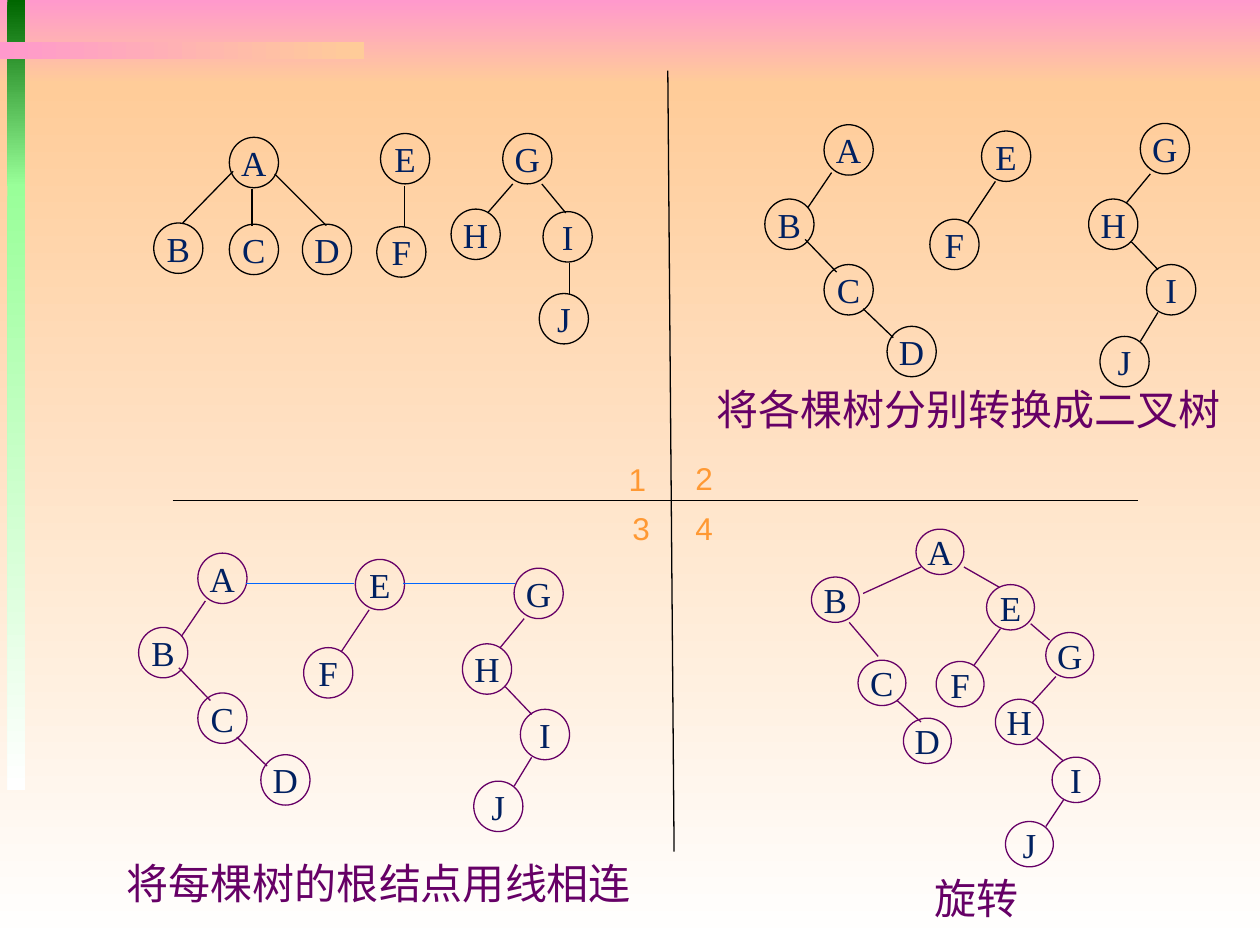
from typing import NamedTuple

from pptx import Presentation
from pptx import util as u
from pptx.dml.color import RGBColor
from pptx.enum import shapes, text
from pptx.oxml.ns import qn


class Theme:
    ink, plum, blue, navy, gold = "000000", "660066", "0066FF", "002060", "FF9933"
    pink, peach, white = "FF99CC", "FFCC99", "FFFFFF"
    dark, mint = "006600", "99FF99"
    serif, sans = "Times New Roman", "Arial"
    node, note, digit = 20, 24, 18
    line = 0.75


class Band(NamedTuple):
    box: tuple
    start: str
    end: str
    angle: int


class Tree(NamedTuple):
    nodes: dict  # letter -> left, top
    edges: list  # x1, y1, x2, y2


class Label(NamedTuple):
    words: str
    box: tuple
    indent: float = 0


def shift(tree: Tree, dx: float, dy: float) -> Tree:
    return Tree({k: (x + dx, y + dy) for k, (x, y) in tree.nodes.items()},
                [(a + dx, b + dy, c + dx, d + dy) for a, b, c, d in tree.edges])


def rgb(code: str) -> RGBColor:
    return RGBColor.from_string(code)


def inch(vals: tuple) -> list:
    return [u.Inches(v) for v in vals]


def style(par, font: str, size: int, color: str) -> None:
    for run in par.runs:
        run.font.name = font
        run.font.size = u.Pt(size)
        run.font.color.rgb = rgb(color)


def draw_band(home, band: Band) -> None:
    bar = home.add_shape(shapes.MSO_SHAPE.RECTANGLE, *inch(band.box))
    bar.shadow.inherit = False
    bar.line.fill.background()
    bar.fill.gradient()
    bar.fill.gradient_angle = band.angle
    for stop, color, pos in zip(bar.fill.gradient_stops, (band.start, band.end), (0, 1)):
        stop.color.rgb = rgb(color)
        stop.position = pos


def draw_line(home, ends: tuple, color: str) -> None:
    link = home.add_connector(shapes.MSO_CONNECTOR.STRAIGHT, *inch(ends))
    link.line.color.rgb = rgb(color)
    link.line.width = u.Pt(Theme.line)
    props = link._element.spPr
    props.append(props.makeelement(qn("a:effectLst"), {}))


def draw_node(home, name: str, box: tuple, color: str) -> None:
    oval = home.add_shape(shapes.MSO_SHAPE.OVAL, *inch(box))
    oval.shadow.inherit = False
    oval.fill.background()
    oval.line.color.rgb = rgb(color)
    oval.line.width = u.Pt(Theme.line)
    frame = oval.text_frame
    frame.text = name
    frame.word_wrap = False
    frame.vertical_anchor = text.MSO_ANCHOR.MIDDLE
    frame.margin_left = frame.margin_right = frame.margin_top = frame.margin_bottom = 0
    frame.paragraphs[0].alignment = text.PP_ALIGN.CENTER
    style(frame.paragraphs[0], Theme.serif, Theme.node, Theme.navy)


def draw_forest(home, trees: list, color: str, size: tuple, joins: tuple = ()) -> None:
    group = home.add_group_shape().shapes
    for tree in trees:
        for name, spot in tree.nodes.items():
            draw_node(group, name, (*spot, *size), color)
        for edge in tree.edges:
            draw_line(group, edge, color)
    for join in joins:
        draw_line(group, join, Theme.blue)


def draw_label(home, label: Label, size: int, color: str, space: float) -> None:
    box = home.add_textbox(*inch(label.box))
    frame = box.text_frame
    frame.text = label.words
    frame.word_wrap = True
    frame.auto_size = text.MSO_AUTO_SIZE.SHAPE_TO_FIT_TEXT
    par = frame.paragraphs[0]
    par.line_spacing = space
    if label.indent:
        props = par._p.get_or_add_pPr()
        props.set("marL", str(u.Inches(label.indent)))
        props.set("indent", "0")
    style(par, Theme.sans, size, color)


# Backdrop and corner stripes
BANDS = [
    Band((0, 0, 10, 0.67), Theme.pink, Theme.peach, 270),
    Band((0, 0.67, 10, 6.83), Theme.peach, Theme.white, 270),
    Band((0.06, 0, 0.14, 1.48), Theme.dark, Theme.mint, 270),
    Band((0.06, 1.46, 0.14, 4.81), Theme.mint, Theme.white, 270),
    Band((0, 0.33, 2.89, 0.14), Theme.pink, Theme.peach, 0),
]

# Step 1: the plain forest
PLAIN = [
    Tree({"A": (1.82, 1.09), "B": (1.22, 1.77), "C": (1.82, 1.78), "D": (2.4, 1.78)},
         [(2, 1.5, 2, 1.79), (1.85, 1.36, 1.45, 1.77), (2.18, 1.38, 2.59, 1.79)]),
    Tree({"E": (3.02, 1.06), "F": (2.99, 1.8)}, [(3.21, 1.48, 3.21, 1.8)]),
    Tree({"G": (3.99, 1.06), "H": (3.58, 1.66), "I": (4.31, 1.68), "J": (4.28, 2.33)},
         [(4.07, 1.46, 3.87, 1.69), (4.3, 1.46, 4.49, 1.69), (4.52, 2.09, 4.52, 2.34)]),
]

# Step 2: each tree as a binary tree
BINARY = [
    Tree({"A": (6.54, 0.99), "B": (6.07, 1.58), "C": (6.54, 2.1), "D": (7.04, 2.59)},
         [(6.6, 1.37, 6.41, 1.65), (6.39, 1.9, 6.64, 2.16), (6.85, 2.45, 7.09, 2.68)]),
    Tree({"E": (7.79, 1.04), "F": (7.38, 1.74)}, [(7.9, 1.44, 7.68, 1.77)]),
    Tree({"G": (9.05, 0.98), "H": (8.64, 1.58), "I": (9.1, 2.1), "J": (8.73, 2.67)},
         [(9.13, 1.38, 8.94, 1.61), (8.98, 1.92, 9.19, 2.14), (9.19, 2.48, 9.05, 2.71)]),
]

# Step 3: the same trees, moved and joined at the roots
DROPS = (3.4, 3.4, 3.53)
JOINED = [shift(tree, -4.97, dy) for tree, dy in zip(BINARY, DROPS)]
JOINS = ((1.95, 4.63, 2.81, 4.63), (3.2, 4.63, 4.09, 4.63))

# Step 4: one rotated tree
TURNED = [
    Tree({"A": (7.27, 4.2), "B": (6.44, 4.58), "C": (6.81, 5.24), "D": (7.17, 5.7),
          "E": (7.83, 4.64), "F": (7.43, 5.25), "G": (8.3, 5.02), "H": (7.9, 5.55),
          "I": (8.35, 6.01), "J": (7.98, 6.52)},
         [(7.31, 4.5, 6.85, 4.71), (6.74, 4.94, 6.97, 5.21), (7.12, 5.56, 7.31, 5.73),
          (7.65, 4.5, 7.93, 4.66), (7.94, 4.99, 7.73, 5.28), (8.18, 4.95, 8.33, 5.08),
          (8.38, 5.37, 8.19, 5.58), (8.23, 5.86, 8.44, 6.04), (8.44, 6.35, 8.3, 6.56)]),
]

NOTES = [
    Label("将每棵树的根结点用线相连", (0.81, 6.8, 4.37, 0.46), 0.1),
    Label("将各棵树分别转换成二叉树", (5.59, 3.04, 4.37, 0.46)),
    Label("旋转", (7.22, 6.92, 1.47, 0.46), 0.1),
]
DIGITS = [(4.89, 3.6), (5.42, 3.59), (4.92, 3.99), (5.42, 3.99)]
AXES = [(1.37, 3.97, 9.03, 3.97), (5.3, 0.56, 5.35, 6.76)]


def main() -> None:
    deck = Presentation()
    deck.slide_width, deck.slide_height = inch((10, 7.5))
    home = deck.slides.add_slide(deck.slide_layouts[6]).shapes

    for band in BANDS:
        draw_band(home, band)

    # Four steps
    wide, small = (0.39, 0.4), (0.38, 0.36)
    draw_forest(home, PLAIN, Theme.ink, wide)
    draw_forest(home, BINARY, Theme.ink, wide)
    draw_forest(home, JOINED, Theme.plum, wide, JOINS)
    draw_forest(home, TURNED, Theme.plum, small)

    # Captions, dividing lines and step numbers
    for note in NOTES:
        draw_label(home, note, Theme.note, Theme.plum, 0.9)
    for axis in AXES:
        draw_line(home, axis, Theme.ink)
    for num, spot in enumerate(DIGITS, 1):
        draw_label(home, Label(str(num), (*spot, 0.35, 0.4)), Theme.digit, Theme.gold, 1.0)

    deck.save("out.pptx")


if __name__ == "__main__":
    main()
